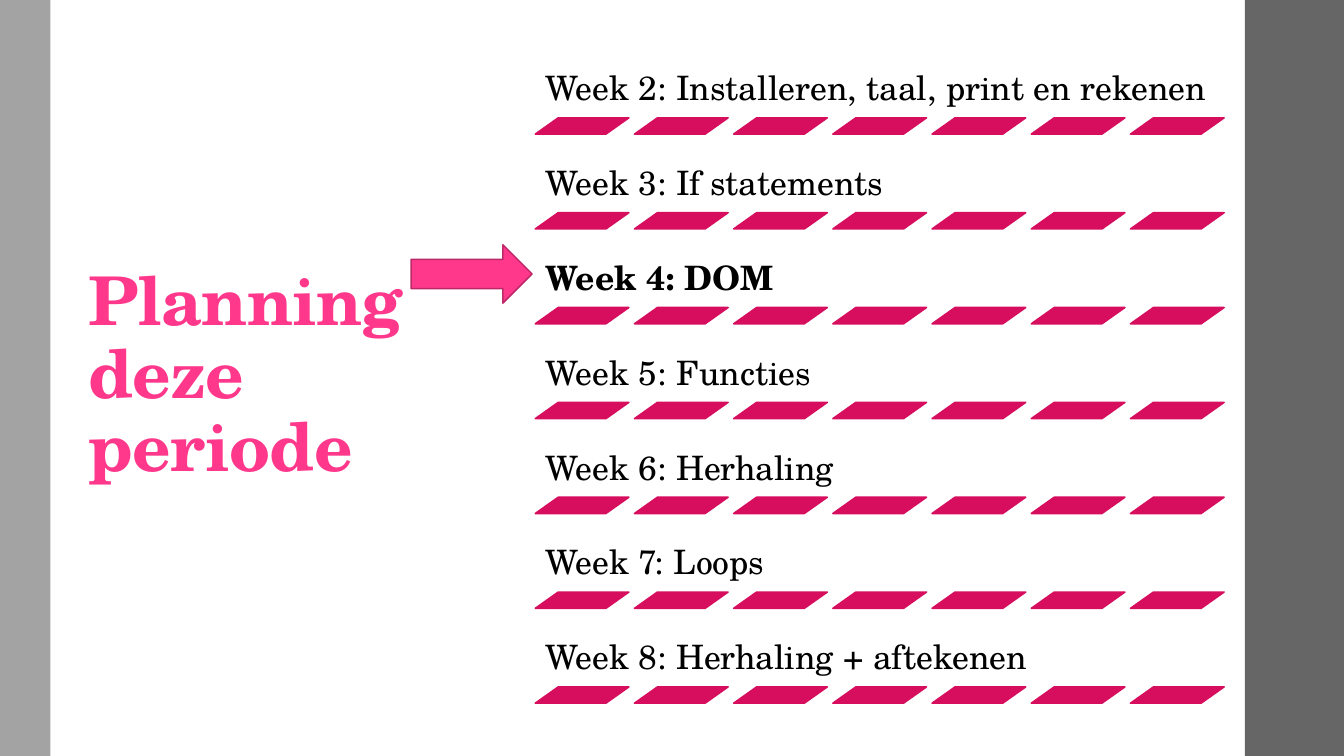
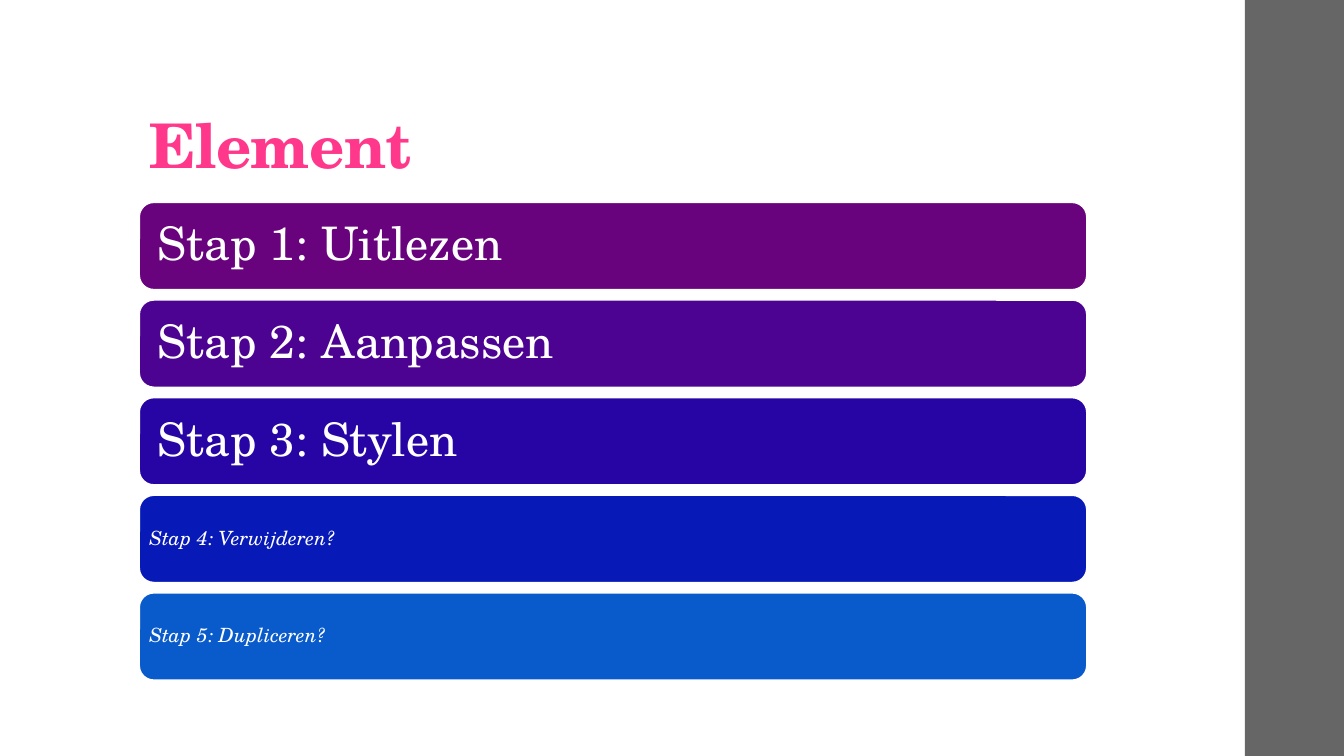
from pptx import Presentation
from pptx.dml.color import RGBColor
from pptx.enum.shapes import MSO_SHAPE as Shape
from pptx.enum.text import MSO_ANCHOR as Anchor, MSO_AUTO_SIZE as AutoSize, PP_ALIGN as Align
from pptx.util import Cm, Pt

WIDTH, HEIGHT = 33.87, 19.05
FONT = "TeX Gyre Schola"
COLORS = {
    "background": "FFFFFF",
    "right_band": "666666",
    "left_band": "A3A3A3",
    "pink": "FF388C",
    "pink_edge": "BD2968",
    "dash": "D70D5E",
    "text": "000000",
    "white": "FFFFFF",
    "step_1": "68027D",
    "step_2": "4C0391",
    "step_3": "2605A4",
    "step_4": "071AB7",
    "step_5": "095ACA",
}
WEEKS = [
    "Week 2: Installeren, taal, print en rekenen",
    "Week 3: If statements",
    "Week 4: DOM",
    "Week 5: Functies",
    "Week 6: Herhaling",
    "Week 7: Loops",
    "Week 8: Herhaling + aftekenen",
]
CURRENT_WEEK = "Week 4: DOM"
MAIN_STEP = {"inset": 0.36, "size": 33, "italic": False}
EXTRA_STEP = {"inset": 0.15, "size": 14, "italic": True}
STEPS = [
    ("Stap 1: Uitlezen", MAIN_STEP),
    ("Stap 2: Aanpassen", MAIN_STEP),
    ("Stap 3: Stylen", MAIN_STEP),
    ("Stap 4: Verwijderen?", EXTRA_STEP),
    ("Stap 5: Dupliceren?", EXTRA_STEP),
]


def set_values(target, values):
    for name, value in values.items():
        setattr(target, name, value)


def rgb(color):
    return RGBColor.from_string(COLORS[color])


class Deck:
    def __init__(self):
        self.presentation = Presentation()
        set_values(self.presentation, {"slide_width": Cm(WIDTH), "slide_height": Cm(HEIGHT)})
        self.slide = None

    def add_slide(self):
        layout = self.presentation.slide_layouts.get_by_name("Title Only")
        self.slide = self.presentation.slides.add_slide(layout)
        fill = self.slide.background.fill
        fill.solid()
        fill.fore_color.rgb = rgb("background")
        self.add_shape(Shape.RECTANGLE, (31.37, 0, WIDTH - 31.37, HEIGHT), "right_band")

    def fill_text(self, shape, text, color, insets, anchor, **font):
        frame = shape.text_frame
        left, top, right, bottom = map(Cm, insets)
        set_values(frame, {
            "word_wrap": True, "auto_size": AutoSize.NONE, "vertical_anchor": anchor,
            "margin_left": left, "margin_top": top,
            "margin_right": right, "margin_bottom": bottom,
        })
        paragraph = frame.paragraphs[0]
        set_values(paragraph, {"alignment": Align.LEFT, "line_spacing": 0.9})
        run = paragraph.add_run()
        run.text = text
        set_values(run.font, {"name": FONT, **font})
        run.font.color.rgb = rgb(color)
        return run

    def add_title(self, text, box, size, anchor):
        title = self.slide.shapes.title
        set_values(title, dict(zip(("left", "top", "width", "height"), map(Cm, box))))
        run = self.fill_text(title, text, "pink", (0.25, 0.08, 0.25, 0.13), anchor,
                             size=Pt(size), bold=True)
        run._r.get_or_add_rPr().set("spc", "-50")

    def add_text(self, text, box, size, bold):
        shape = self.slide.shapes.add_textbox(*map(Cm, box))
        self.fill_text(shape, text, "text", [0.25] * 4, Anchor.BOTTOM, size=Pt(size), bold=bold)

    def add_shape(self, kind, box, fill, line=None):
        shape = self.slide.shapes.add_shape(kind, *map(Cm, box))
        shape.shadow.inherit = False
        shape.fill.solid()
        shape.fill.fore_color.rgb = rgb(fill)
        if line:
            shape.line.color.rgb = rgb(line)
            shape.line.width = Pt(1.1)
        else:
            shape.line.fill.background()
        return shape

    def add_dashes(self, left, top, count=7, pitch=2.5):
        for index in range(count):
            box = (left + index * pitch, top, 2.36, 0.41)
            dash = self.add_shape(Shape.PARALLELOGRAM, box, "dash", "dash")
            dash.adjustments[0] = 1.41

    def add_step(self, text, box, fill, inset, size, italic):
        card = self.add_shape(Shape.ROUNDED_RECTANGLE, box, fill, "white")
        self.fill_text(card, text, "white", [inset] * 4, Anchor.MIDDLE,
                       size=Pt(size), italic=italic)


def build_planning(deck):
    deck.add_slide()
    deck.add_title("Planning deze periode", (1.98, 5.89, 10.52, 7.26), 48, Anchor.MIDDLE)
    deck.add_shape(Shape.RECTANGLE, (0, 0, 1.27, HEIGHT), "left_band")
    left, first_top, pitch, height = 13.49, 1.37, 2.39, 1.6
    for index, week in enumerate(WEEKS):
        top = first_top + index * pitch
        deck.add_text(week, (left, top, 17.73, height), 24, week == CURRENT_WEEK)
        deck.add_dashes(left, top + height)
    deck.add_shape(Shape.RIGHT_ARROW, (10.36, 6.17, 3.05, 1.47), "pink", "pink_edge")


def build_element(deck):
    deck.add_slide()
    deck.add_title("Element", (3.51, 0.74, 26.92, 3.96), 44, Anchor.BOTTOM)
    for index, (text, style) in enumerate(STEPS):
        box = (3.51, 5.1 + index * 2.46, 23.88, 2.2)
        deck.add_step(text, box, f"step_{index + 1}", **style)


def main():
    deck = Deck()
    build_planning(deck)
    build_element(deck)
    deck.presentation.save("out.pptx")


if __name__ == "__main__":
    main()
